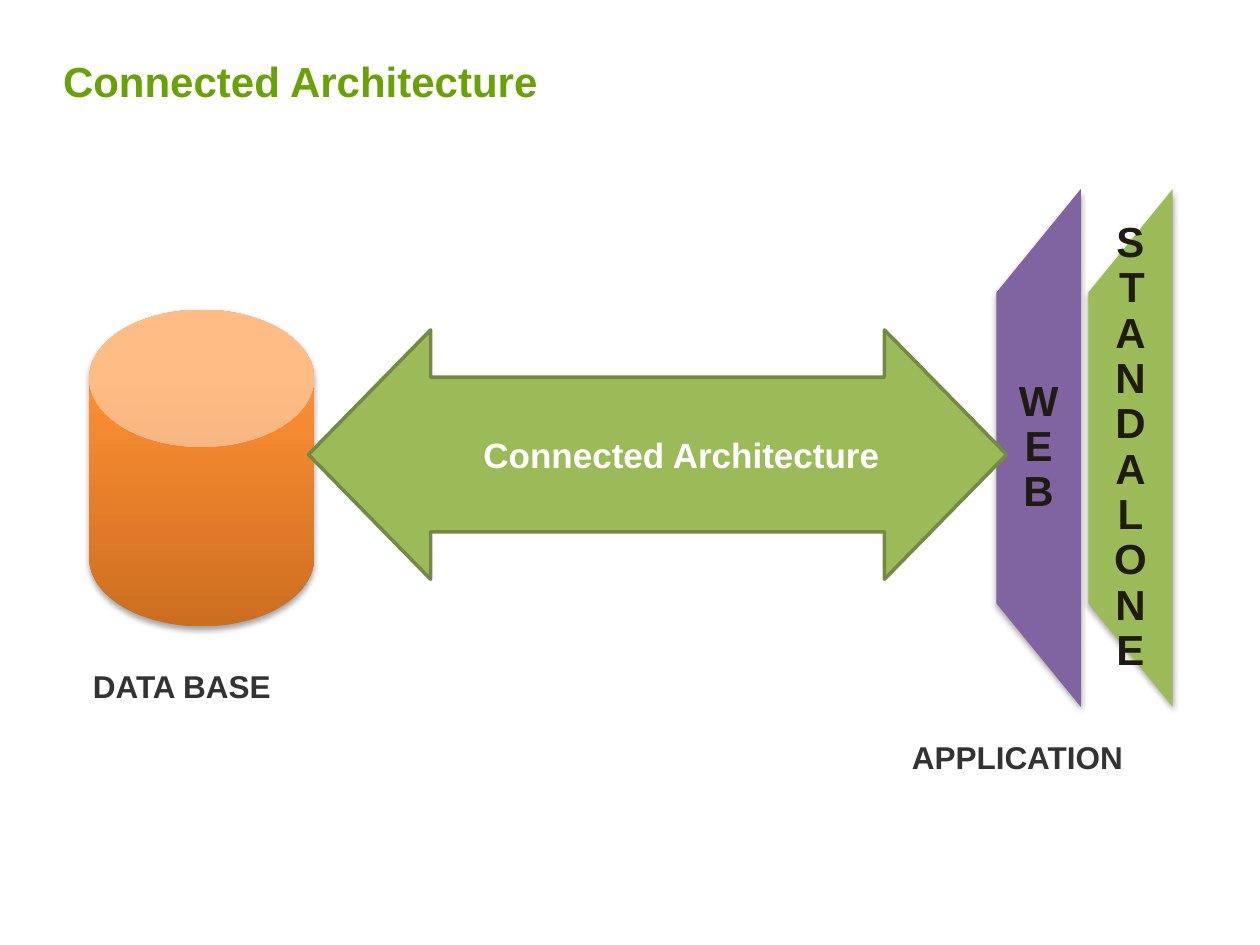
from dataclasses import dataclass

from pptx import Presentation
from pptx.dml.color import RGBColor as Rgb
from pptx.enum.shapes import MSO_SHAPE as Preset
from pptx.enum.text import MSO_ANCHOR as Anchor, PP_ALIGN as Align
from pptx.util import Pt


@dataclass(frozen=True)
class Theme:
    """Colours, font and type sizes of the slide."""
    font: str = "Arial"
    title: str = "69A205"
    caption: str = "333333"
    panel_text: str = "1E1C11"
    white: str = "FFFFFF"
    green: str = "9BBB59"
    green_edge: str = "738A42"
    purple: str = "8064A2"
    orange: str = "FF9034"
    orange_dark: str = "CC6E20"
    heading_size: int = 24
    arrow_size: int = 20
    caption_size: int = 18


class Diagram:
    """Draws the parts of an architecture diagram on one slide."""

    def __init__(self, slide, theme):
        self.slide = slide
        self.theme = theme

    def set_text(self, frame, text, size, color, anchor, align=Align.LEFT,
                 insets=(7.2, 3.6, 7.2, 3.6)):
        """Fill a text frame with one bold paragraph and return it."""
        frame.text = text
        frame.word_wrap = True
        frame.vertical_anchor = anchor
        (frame.margin_left, frame.margin_top,
         frame.margin_right, frame.margin_bottom) = map(Pt, insets)
        paragraph = frame.paragraphs[0]
        paragraph.alignment = align
        font = paragraph.runs[0].font
        font.name, font.size, font.bold = self.theme.font, Pt(size), True
        font.color.rgb = Rgb.from_string(color)
        return paragraph

    def shape(self, preset, left, top, width, height):
        """Add a preset shape without an outline."""
        shape = self.slide.shapes.add_shape(
            preset, Pt(left), Pt(top), Pt(width), Pt(height))
        shape.line.fill.background()
        return shape

    def textbox(self, left, top, width, height):
        """Add a text box and return its frame."""
        return self.slide.shapes.add_textbox(
            Pt(left), Pt(top), Pt(width), Pt(height)).text_frame

    def title(self, text):
        """Place the title placeholder at the top left."""
        title = self.slide.shapes.title
        title.left, title.top, title.width, title.height = map(
            Pt, (36, 1.5, 648, 62.5))
        self.set_text(title.text_frame, text, self.theme.heading_size,
                      self.theme.title, Anchor.BOTTOM, insets=(0, 0, 0, 3.6))

    def panel(self, text, center_x, color):
        """Add an upright panel with its name stacked letter by letter."""
        center_y, length, thickness, label_height = 256, 296, 48.25, 177
        panel = self.shape(Preset.FLOWCHART_MANUAL_OPERATION,
                           center_x - length / 2, center_y - thickness / 2,
                           length, thickness)
        panel.rotation = 90
        panel.fill.solid()
        panel.fill.fore_color.rgb = Rgb.from_string(color)
        label = self.textbox(center_x - thickness / 2,
                             center_y - label_height / 2,
                             thickness, label_height)
        paragraph = self.set_text(label, text, self.theme.heading_size,
                                  self.theme.panel_text, Anchor.MIDDLE,
                                  Align.CENTER, (12.25, 0, 12.25, 0))
        paragraph.line_spacing = 0.9

    def database(self, left, top, width, height):
        """Add the storage cylinder with a vertical gradient."""
        cylinder = self.shape(Preset.CAN, left, top, width, height)
        cylinder.adjustments[0] = 0.61
        cylinder.fill.gradient()
        cylinder.fill.gradient_angle = 90
        colors = (self.theme.orange_dark, self.theme.orange)
        for stop, color, position in zip(
                cylinder.fill.gradient_stops, colors, (0, 0.8)):
            stop.color.rgb = Rgb.from_string(color)
            stop.position = position

    def link(self, text, left, top, width, height):
        """Add the double arrow with its name set right of the middle."""
        arrow = self.shape(Preset.LEFT_RIGHT_ARROW, left, top, width, height)
        arrow.shadow.inherit = False
        arrow.adjustments[0], arrow.adjustments[1] = 0.62, 0.49
        arrow.fill.solid()
        arrow.fill.fore_color.rgb = Rgb.from_string(self.theme.green)
        arrow.line.color.rgb = Rgb.from_string(self.theme.green_edge)
        arrow.line.width = Pt(2)
        self.set_text(arrow.text_frame, text, self.theme.arrow_size,
                      self.theme.white, Anchor.MIDDLE, Align.CENTER,
                      (34.5, 3.6, 7.2, 3.6))

    def caption(self, text, left, top, width):
        """Add a caption below a part of the diagram."""
        self.set_text(self.textbox(left, top, width, 29), text,
                      self.theme.caption_size, self.theme.caption, Anchor.TOP)


def main():
    """Build and save the slide."""
    deck = Presentation()
    deck.slide_width, deck.slide_height = Pt(720), Pt(540)
    theme = Theme()
    diagram = Diagram(deck.slides.add_slide(deck.slide_layouts[5]), theme)
    diagram.title("Connected Architecture")
    diagram.panel("STAND ALONE", 646, theme.green)
    diagram.panel("WEB", 593.5, theme.purple)
    diagram.database(51, 177, 128.5, 181)
    diagram.link("Connected Architecture", 176.25, 188.5, 399, 142.5)
    diagram.caption("DATA BASE", 46, 377.5, 127)
    diagram.caption("APPLICATION", 514, 418, 166)
    deck.save("out.pptx")


if __name__ == "__main__":
    main()
